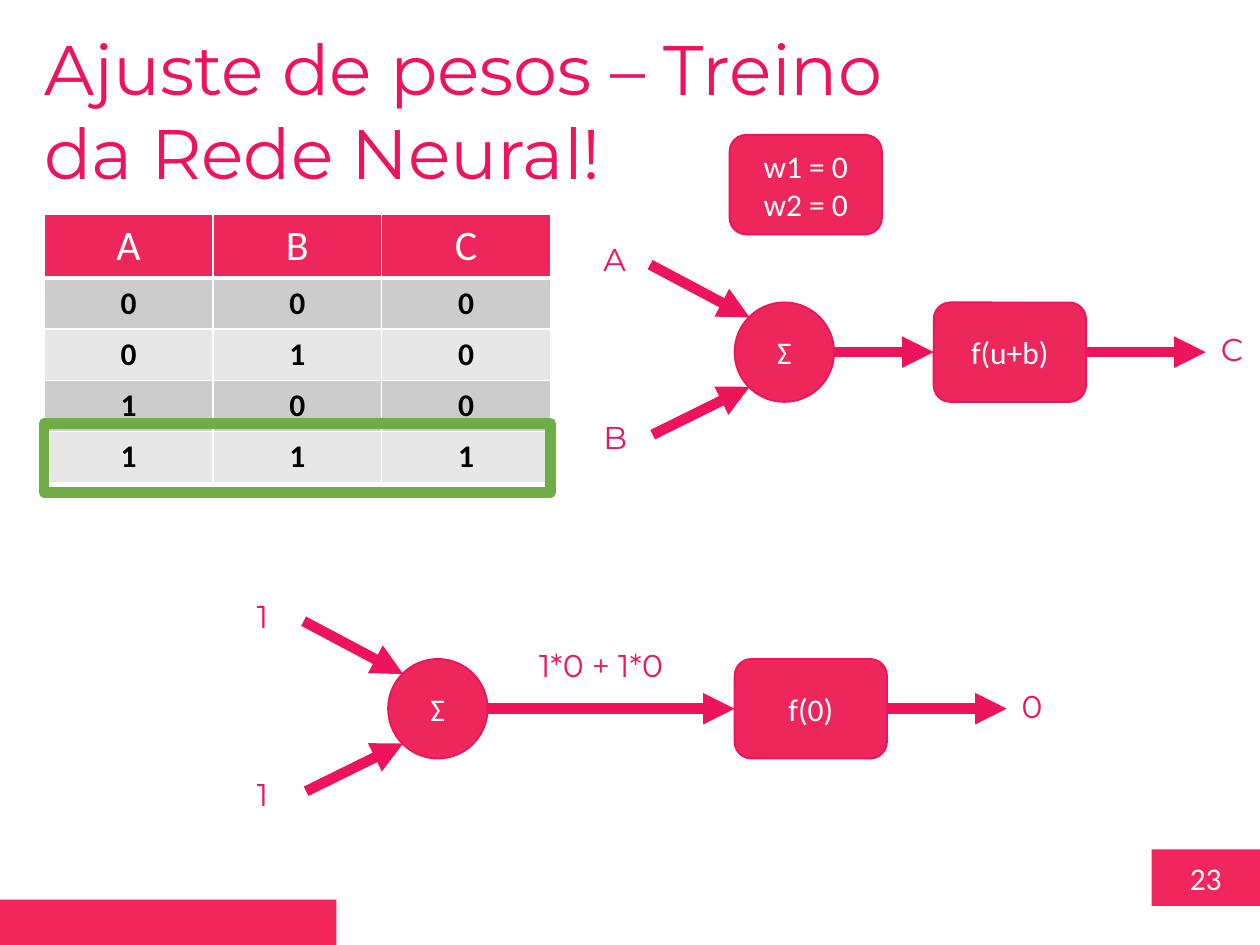
"""Build the slide on adjusting the weights of a neural network."""
from dataclasses import dataclass
from typing import Optional

from lxml.etree import SubElement
from pptx import Presentation
from pptx.dml.color import RGBColor
from pptx.enum.shapes import MSO_CONNECTOR, MSO_SHAPE
from pptx.enum.text import MSO_ANCHOR, PP_ALIGN
from pptx.oxml.ns import qn
from pptx.util import Inches, Pt

PINK, FILL, BAND = "ED145B", "ED265B", "F0265D"
WHITE, BLACK, GREEN = "FFFFFF", "000000", "70AD47"
ROW_FILLS = ("CCCCCC", "E7E7E7")
NODE_SIZE, BOX_WIDTH, OUTPUT_LENGTH = 0.79, 1.21, 0.95
TRUTH_TABLE = ("ABC", "000", "010", "100", "111")


@dataclass(frozen=True)
class Neuron:
    left: float
    top: float
    box_left: float
    inputs: tuple[str, str]
    activation: str
    output: str


NEURONS = (
    Neuron(5.83, 2.4, 7.41, ("A", "B"), "f(u+b)", "C"),
    Neuron(3.08, 5.23, 5.83, ("1", "1"), "f(0)", "0"),
)


def color(value: str) -> RGBColor:
    return RGBColor.from_string(value)


def style_text(frame, size: float, font: str, text_color: str, align=PP_ALIGN.LEFT, bold=False) -> None:
    for paragraph in frame.paragraphs:
        paragraph.alignment = align
        paragraph.font.size = Pt(size)
        paragraph.font.name = font
        paragraph.font.bold = bold
        paragraph.font.color.rgb = color(text_color)


def add_box(page, kind, left: float, top: float, width: float, height: float, text: str = "",
            fill: Optional[str] = FILL, line: Optional[str] = PINK, line_width: float = 1):
    box = page.shapes.add_shape(kind, Inches(left), Inches(top), Inches(width), Inches(height))
    box.shadow.inherit = False
    if fill:
        box.fill.solid()
        box.fill.fore_color.rgb = color(fill)
    else:
        box.fill.background()
    if line:
        box.line.color.rgb = color(line)
        box.line.width = Pt(line_width)
    else:
        box.line.fill.background()
    if text:
        box.text_frame.text = text
        box.text_frame.vertical_anchor = MSO_ANCHOR.MIDDLE
        style_text(box.text_frame, 18, "Calibri", WHITE, PP_ALIGN.CENTER)
    return box


def add_label(page, text: str, left: float, top: float, width: float = 0.45) -> None:
    label = page.shapes.add_textbox(Inches(left), Inches(top), Inches(width), Inches(0.4))
    label.text_frame.text = text
    label.text_frame.word_wrap = True
    style_text(label.text_frame, 18, "Montserrat", PINK)


def add_arrow(page, start: tuple[float, float], end: tuple[float, float]) -> None:
    points = [Inches(value) for value in (*start, *end)]
    arrow = page.shapes.add_connector(MSO_CONNECTOR.STRAIGHT, *points)
    arrow.line.color.rgb = color(PINK)
    arrow.line.width = Pt(6)
    SubElement(arrow.line._get_or_add_ln(), qn("a:tailEnd"), type="triangle")
    SubElement(arrow._element.spPr, qn("a:effectLst"))


def add_neuron(page, neuron: Neuron) -> None:
    left, top, box_left = neuron.left, neuron.top, neuron.box_left
    middle = top + NODE_SIZE / 2
    box_right = box_left + BOX_WIDTH
    add_box(page, MSO_SHAPE.OVAL, left, top, NODE_SIZE, NODE_SIZE, "Ʃ")
    add_arrow(page, (left - 0.67, top - 0.3), (left + 0.12, top + 0.12))
    add_arrow(page, (left - 0.65, top + 1.05), (left + 0.12, top + 0.67))
    add_arrow(page, (left + NODE_SIZE, middle), (box_left, middle))
    add_box(page, MSO_SHAPE.ROUNDED_RECTANGLE, box_left, top, BOX_WIDTH, NODE_SIZE, neuron.activation)
    add_arrow(page, (box_right, middle), (box_right + OUTPUT_LENGTH, middle))
    for text, offset in zip(neuron.inputs, (-0.54, 0.87)):
        add_label(page, text, left - 1.14, top + offset)
    add_label(page, neuron.output, box_right + 0.97, top + 0.17)


def add_cell_borders(cell, bottom: float) -> None:
    properties = cell._tc.get_or_add_tcPr()
    for position, (side, width) in enumerate((("lnL", 1), ("lnR", 1), ("lnT", 1), ("lnB", bottom))):
        border = SubElement(properties, qn(f"a:{side}"), w=str(Pt(width)))
        SubElement(SubElement(border, qn("a:solidFill")), qn("a:srgbClr"), val=WHITE)
        properties.insert(position, border)


def add_truth_table(page) -> None:
    frame = page.shapes.add_table(len(TRUTH_TABLE), 3, Inches(0.35), Inches(1.7), Inches(4.02), Inches(1.7))
    table = frame.table
    table.first_row = table.horz_banding = False
    for row_index, values in enumerate(TRUTH_TABLE):
        header = row_index == 0
        table.rows[row_index].height = Inches(0.5 if header else 0.3)
        for column_index, value in enumerate(values):
            cell = table.cell(row_index, column_index)
            cell.text = value
            cell.fill.solid()
            cell.fill.fore_color.rgb = color(FILL if header else ROW_FILLS[(row_index - 1) % 2])
            cell.vertical_anchor = MSO_ANCHOR.TOP if header else MSO_ANCHOR.MIDDLE
            style_text(cell.text_frame, 24 if header else 18, "Calibri",
                       WHITE if header else BLACK, PP_ALIGN.CENTER, not header)
            add_cell_borders(cell, 3 if header else 1)


def add_title(page, text: str) -> None:
    title = page.shapes.title
    title.left, title.top, title.width, title.height = (Inches(v) for v in (0.25, 0.15, 7.58, 1.45))
    title.text_frame.text = text
    title.text_frame.word_wrap = True
    title.text_frame.vertical_anchor = MSO_ANCHOR.TOP
    style_text(title.text_frame, 40, "Montserrat", PINK)


def main() -> None:
    deck = Presentation()
    deck.slide_width, deck.slide_height = Inches(10), Inches(7.5)
    page = deck.slides.add_slide(deck.slide_layouts[5])
    add_box(page, MSO_SHAPE.RECTANGLE, 9.14, 6.74, 0.86, 0.45, "23", BAND, None)
    add_box(page, MSO_SHAPE.RECTANGLE, 0, 7.14, 2.67, 0.36, fill=BAND, line=None)
    add_title(page, "Ajuste de pesos – Treino da Rede Neural!")
    add_truth_table(page)
    for neuron in NEURONS:
        add_neuron(page, neuron)
    add_box(page, MSO_SHAPE.ROUNDED_RECTANGLE, 5.79, 1.07, BOX_WIDTH, NODE_SIZE, "w1 = 0\nw2 = 0")
    add_label(page, "1*0 + 1*0", 4.18, 5.08, 1.21)
    add_box(page, MSO_SHAPE.RECTANGLE, 0.35, 3.36, 4.02, 0.55, fill=None, line=GREEN, line_width=6)
    deck.save("out.pptx")


if __name__ == "__main__":
    main()
